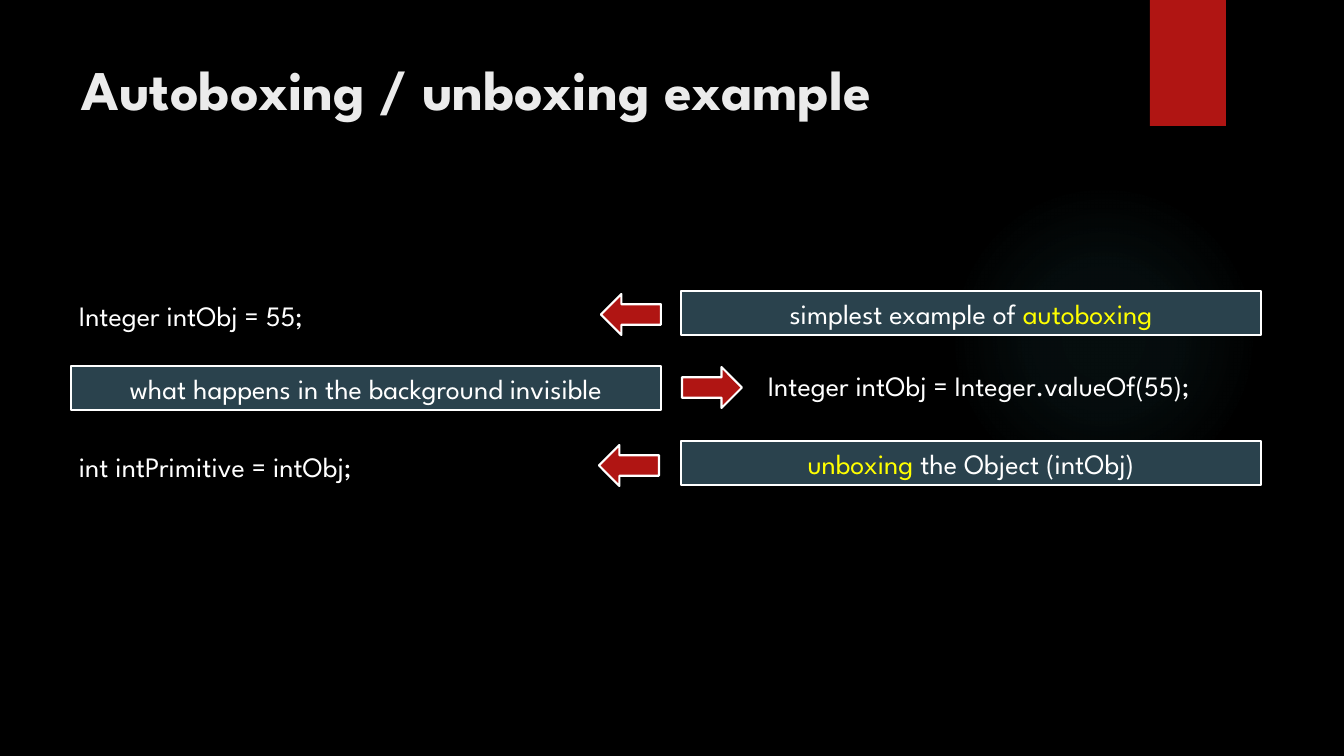
"""Build the slide on autoboxing and unboxing."""
from lxml.etree import fromstring
from pptx import Presentation
from pptx.dml.color import RGBColor
from pptx.enum.shapes import MSO_SHAPE
from pptx.enum.text import MSO_ANCHOR, PP_ALIGN
from pptx.util import Pt

SCALE = 914400 / 100.8
NS = "http://schemas.openxmlformats.org/drawingml/2006/main"
COLORS = {
    "black": "000000",
    "white": "FFFFFF",
    "title": "EBEBEB",
    "red": "B01513",
    "slate": "2A424D",
    "yellow": "FFFF00",
    "glow": "50B9C1",
}


def px(count):
    return round(count * SCALE)


def rgb(name):
    return RGBColor.from_string(COLORS[name])


class Deck:
    """Hold the style and the current slide."""

    font = "League Spartan"
    size = 20

    def __init__(self, width, height):
        self.show = Presentation()
        self.show.slide_width = px(width)
        self.show.slide_height = px(height)
        self.slide = self.show.slides.add_slide(self.show.slide_layouts[6])
        back = self.slide.background.fill
        back.solid()
        back.fore_color.rgb = rgb("black")

    def add_runs(self, frame, runs, size=None, bold=False, align=PP_ALIGN.LEFT):
        frame.word_wrap = True
        para = frame.paragraphs[0]
        para.alignment = align
        for words, color in runs:
            run = para.add_run()
            run.text = words
            run.font.name = self.font
            run.font.size = Pt(size or self.size)
            run.font.bold = bold
            run.font.color.rgb = rgb(color)

    def text(self, spot, words, color="white", size=None, bold=False):
        box = self.slide.shapes.add_textbox(*map(px, spot))
        box.text_frame.vertical_anchor = MSO_ANCHOR.TOP
        self.add_runs(box.text_frame, [(words, color)], size, bold)

    def shape(self, kind, spot, fill=None, line=None):
        item = self.slide.shapes.add_shape(kind, *map(px, spot))
        item.shadow.inherit = False
        if fill:
            item.fill.solid()
            item.fill.fore_color.rgb = rgb(fill)
        if line:
            item.line.color.rgb = rgb("white")
            item.line.width = Pt(line)
        else:
            item.line.fill.background()
        return item

    def label(self, spot, runs):
        box = self.shape(MSO_SHAPE.RECTANGLE, spot, "slate", 1)
        box.text_frame.vertical_anchor = MSO_ANCHOR.MIDDLE
        self.add_runs(box.text_frame, runs, align=PP_ALIGN.CENTER)

    def arrow(self, left, top, turn=0):
        item = self.shape(MSO_SHAPE.LEFT_ARROW, (left, top, 60, 41), "red", 1.5)
        item.rotation = turn

    def glow(self, spot, stops):
        item = self.shape(MSO_SHAPE.OVAL, spot)
        marks = "".join(
            f'<a:gs pos="{place * 1000}"><a:srgbClr val="{COLORS["glow"]}">'
            f'<a:alpha val="{alpha * 1000}"/></a:srgbClr></a:gs>'
            for place, alpha in stops
        )
        grad = fromstring(
            f'<a:gradFill xmlns:a="{NS}"><a:gsLst>{marks}</a:gsLst>'
            '<a:path path="circle"><a:fillToRect l="50000" t="50000" '
            'r="50000" b="50000"/></a:path></a:gradFill>'
        )
        item.fill.background()
        blank = item.element.spPr.find(f"{{{NS}}}noFill")
        item.element.spPr.replace(blank, grad)


def main():
    deck = Deck(1344, 756)
    deck.glow((949, 184, 310, 310), [(0, 7), (36, 6), (69, 0)])
    deck.shape(MSO_SHAPE.RECTANGLE, (1150, 0, 76, 126), "red")
    deck.text((72, 50, 1037, 154), "Autoboxing / unboxing example", "title", 40, True)

    boxing = [("simplest example of ", "white"), ("autoboxing", "yellow")]
    hidden = [("what happens in the background invisible", "white")]
    undo = [("unboxing", "yellow"), (" the Object (intObj)", "white")]
    labels = [(681, 580, boxing), (71, 590, hidden), (681, 580, undo)]
    for row, (left, width, runs) in enumerate(labels):
        deck.label((left, 291 + 75 * row, width, 44), runs)

    for spot, code in [
        ((69, 294, 575, 48), "Integer intObj = 55;"),
        ((758, 364, 514, 57), "Integer intObj = Integer.valueOf(55);"),
        ((69, 445, 575, 54), "int intPrimitive = intObj;"),
    ]:
        deck.text(spot, code)

    for left, top, turn in [(601, 294, 0), (682, 367, 180), (599, 445, 0)]:
        deck.arrow(left, top, turn)
    deck.show.save("out.pptx")


if __name__ == "__main__":
    main()
